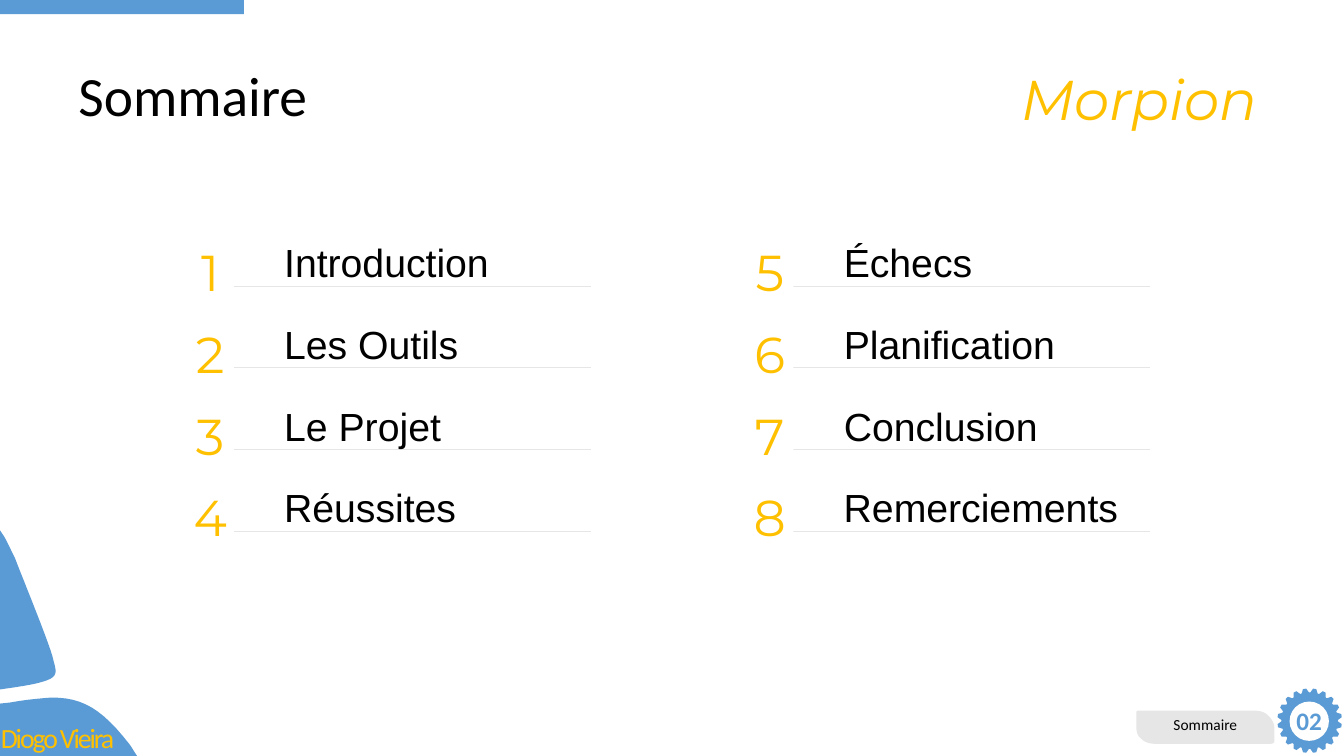
from math import cos, radians, sin

from lxml.etree import SubElement
from pptx import Presentation
from pptx.dml.color import RGBColor
from pptx.enum.shapes import MSO_CONNECTOR, MSO_SHAPE
from pptx.enum.text import MSO_ANCHOR as ANCHOR, MSO_AUTO_SIZE as AUTO, PP_ALIGN as ALIGN
from pptx.oxml.ns import qn
from pptx.util import Inches, Pt

BLUE, GOLD, GREY, WHITE, BLACK = "5B9BD5", "FFC000", "E7E6E6", "FFFFFF", "000000"
# Column left edge, then each label with the width of its text box
COLUMNS = [
    (1.85, [("Introduction", 2.26), ("Les Outils", 1.95),
            ("Le Projet", 1.78), ("Réussites", 1.93)]),
    (7.4, [("Échecs", 1.49), ("Planification", 2.32),
           ("Conclusion", 2.15), ("Remerciements", 2.96)]),
]
ROW_TOP, ROW_PITCH = 2.21, 0.81

# Outlines in inches: a start point, then lines (x, y) or cubic curves (6 numbers)
HILL = [(0.51, 6.92), (0.82, 6.92, 1.01, 7.03, 1.29, 7.39),
        (1.36, 7.5, 1.36, 7.5, 1.36, 7.5), (0, 7.5), (0, 6.98), (0.1, 6.97),
        (0.26, 6.94, 0.39, 6.93, 0.51, 6.92)]
PETAL = [(0, 5.26), (0.04, 5.32), (0.08, 5.39, 0.11, 5.46, 0.15, 5.54),
         (0.23, 5.75, 0.51, 6.43, 0.53, 6.55), (0.56, 6.67, 0.59, 6.72, 0.4, 6.77),
         (0.33, 6.79, 0.21, 6.81, 0.07, 6.83), (0, 6.84)]
TAG = [(12.64, 7.23), (12.64, 7.35), (12.64, 7.37, 12.62, 7.38, 12.6, 7.38),
       (11.47, 7.38), (11.41, 7.38, 11.36, 7.37, 11.32, 7.33),
       (11.28, 7.3, 11.27, 7.26, 11.27, 7.19), (11.27, 7.08),
       (11.27, 7.06, 11.27, 7.05, 11.3, 7.05), (12.42, 7.05),
       (12.49, 7.05, 12.54, 7.06, 12.58, 7.1), (12.61, 7.13, 12.64, 7.17, 12.64, 7.23)]


def rgb(color):
    return RGBColor.from_string(color)


def paint(sp, color):
    sp.shadow.inherit = False
    sp.fill.solid()
    sp.fill.fore_color.rgb = rgb(color)
    sp.line.fill.background()
    return sp


def write(sp, text, size, font, color, align=ALIGN.LEFT, anchor=ANCHOR.TOP, wrap=True,
          grow=False, insets=None, bold=False, italic=False, leading=None, spacing=None):
    tf = sp.text_frame
    tf.word_wrap = wrap
    tf.auto_size = AUTO.SHAPE_TO_FIT_TEXT if grow else AUTO.NONE
    tf.vertical_anchor = anchor
    if insets:
        tf.margin_left, tf.margin_top, tf.margin_right, tf.margin_bottom = map(Inches, insets)
    p = tf.paragraphs[0]
    p.alignment = align
    if leading:
        p.line_spacing = leading
    r = p.add_run()
    r.text = text
    r.font.size, r.font.name = Pt(size), font
    r.font.bold, r.font.italic = bold, italic
    r.font.color.rgb = rgb(color)
    if spacing:
        r.font._element.set("spc", str(int(spacing * 100)))


def add_text(s, box, text, size, font, color, **fmt):
    write(s.shapes.add_textbox(*map(Inches, box)), text, size, font, color, **fmt)


def add_block(s, kind, box, color):
    return paint(s.shapes.add_shape(kind, *map(Inches, box)), color)


def add_rule(s, x1, x2, y):
    line = s.shapes.add_connector(MSO_CONNECTOR.STRAIGHT, *map(Inches, (x1, y, x2, y)))
    line.line.color.rgb = rgb(GREY)
    line.line.width = Pt(0.75)
    SubElement(line._element.spPr, qn("a:effectLst"))


def add_polygon(s, points, color):
    points = [(Inches(x), Inches(y)) for x, y in points]
    builder = s.shapes.build_freeform(*points[0])
    builder.add_line_segments(points[1:], close=True)
    return paint(builder.convert_to_shape(), color)


def flatten(outline, steps=12):
    """Turn lines and cubic curves into a list of points."""
    points = [outline[0]]
    for seg in outline[1:]:
        if len(seg) == 2:
            points.append(seg)
            continue
        x0, y0 = points[-1]
        x1, y1, x2, y2, x3, y3 = seg
        for i in range(1, steps + 1):
            t = i / steps
            a, b, c, d = (1 - t) ** 3, 3 * t * (1 - t) ** 2, 3 * t * t * (1 - t), t ** 3
            points.append((a * x0 + b * x1 + c * x2 + d * x3,
                           a * y0 + b * y1 + c * y2 + d * y3))
    return points


def gear_points(cx, cy, outer, inner, teeth):
    step = 360 / teeth
    profile = [(0.08, inner), (0.34, outer), (0.66, outer), (0.92, inner)]
    return [(cx + radius * cos(radians(step * (i + part))),
             cy + radius * sin(radians(step * (i + part))))
            for i in range(teeth) for part, radius in profile]


def add_entry(s, left, row, number, label, width):
    top = ROW_TOP + row * ROW_PITCH
    add_rule(s, left, left + 4.01, top + 0.63)
    badge = add_block(s, MSO_SHAPE.RECTANGLE, (left, top, 0.47, 0.81), WHITE)
    write(badge, str(number), 36, "Montserrat", GOLD, align=ALIGN.CENTER,
          anchor=ANCHOR.MIDDLE, insets=(0.04, 0.16, 0.04, 0))
    add_text(s, (left + 0.87, top + 0.11, width, 0.57), label, 28, "Arial", BLACK,
             wrap=False, grow=True)


def main():
    prs = Presentation()
    prs.slide_width, prs.slide_height = Inches(13.33), Inches(7.5)
    s = prs.slides.add_slide(prs.slide_layouts[6])

    # Corner decoration and author
    for outline in (HILL, PETAL):
        add_polygon(s, flatten(outline), BLUE)
    add_text(s, (-0.09, 7.18, 1.6, 0.36), "Diogo Vieira", 19.8, "Calibri", GOLD,
             anchor=ANCHOR.MIDDLE, leading=0.7, spacing=-1.5)

    # Page number in a gear, with the section tag
    add_polygon(s, gear_points(12.99, 7.15, 0.32, 0.28, 20), BLUE)
    add_block(s, MSO_SHAPE.OVAL, (12.79, 6.96, 0.39, 0.39), WHITE)
    add_text(s, (12.76, 6.95, 0.46, 0.4), "02", 18, "Calibri", BLUE,
             bold=True, wrap=False, grow=True)
    tag = add_polygon(s, flatten(TAG), GREY)
    write(tag, "Sommaire", 11, "Calibri", BLACK, align=ALIGN.CENTER)

    # Headings
    add_text(s, (0.68, 0.8, 11.97, 0.36), "Sommaire", 39.6, "Calibri", BLACK,
             anchor=ANCHOR.MIDDLE, leading=0.9)
    add_text(s, (7.56, 0.59, 5.01, 0.77), "Morpion", 40, "Montserrat", GOLD,
             align=ALIGN.RIGHT, italic=True, grow=True)

    # Numbered contents in two columns
    number = 0
    for left, entries in COLUMNS:
        for row, (label, width) in enumerate(entries):
            number += 1
            add_entry(s, left, row, number, label, width)

    # Top bar
    add_block(s, MSO_SHAPE.RECTANGLE, (0, 0, 2.42, 0.14), BLUE)
    prs.save("out.pptx")


if __name__ == "__main__":
    main()
